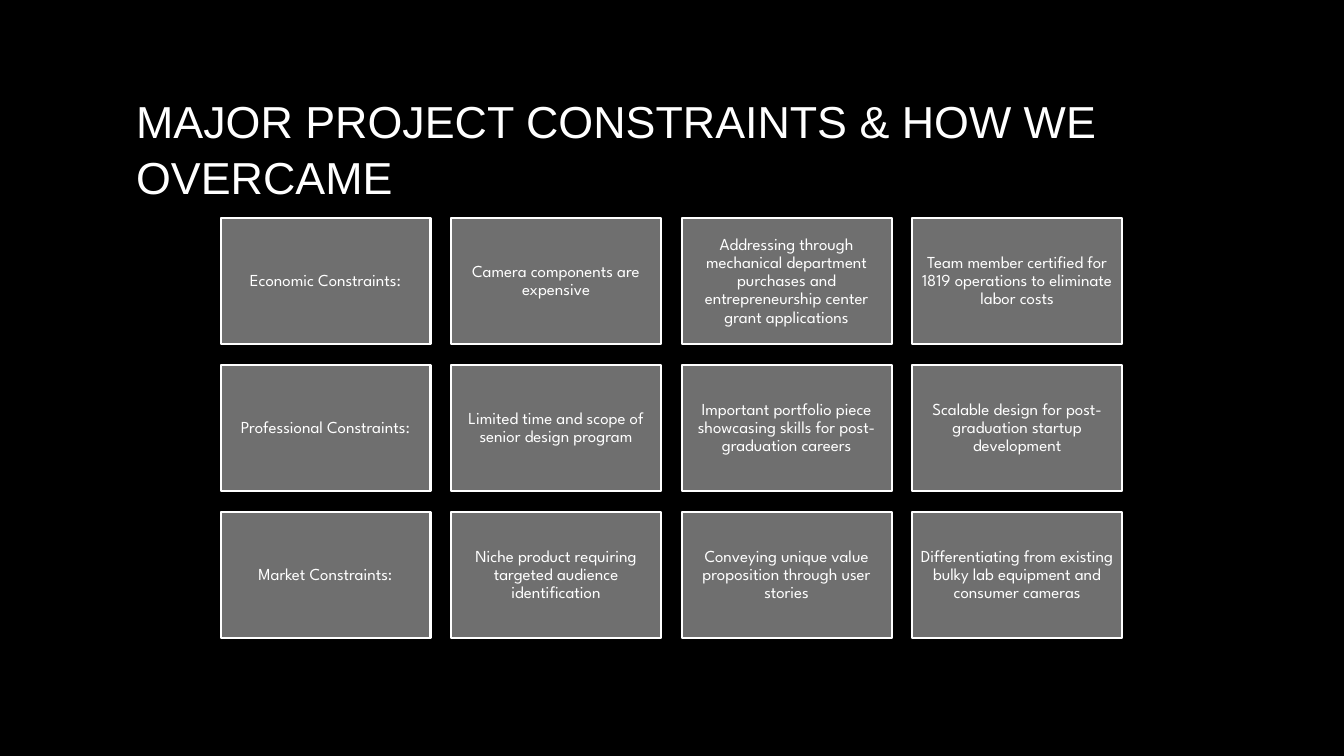
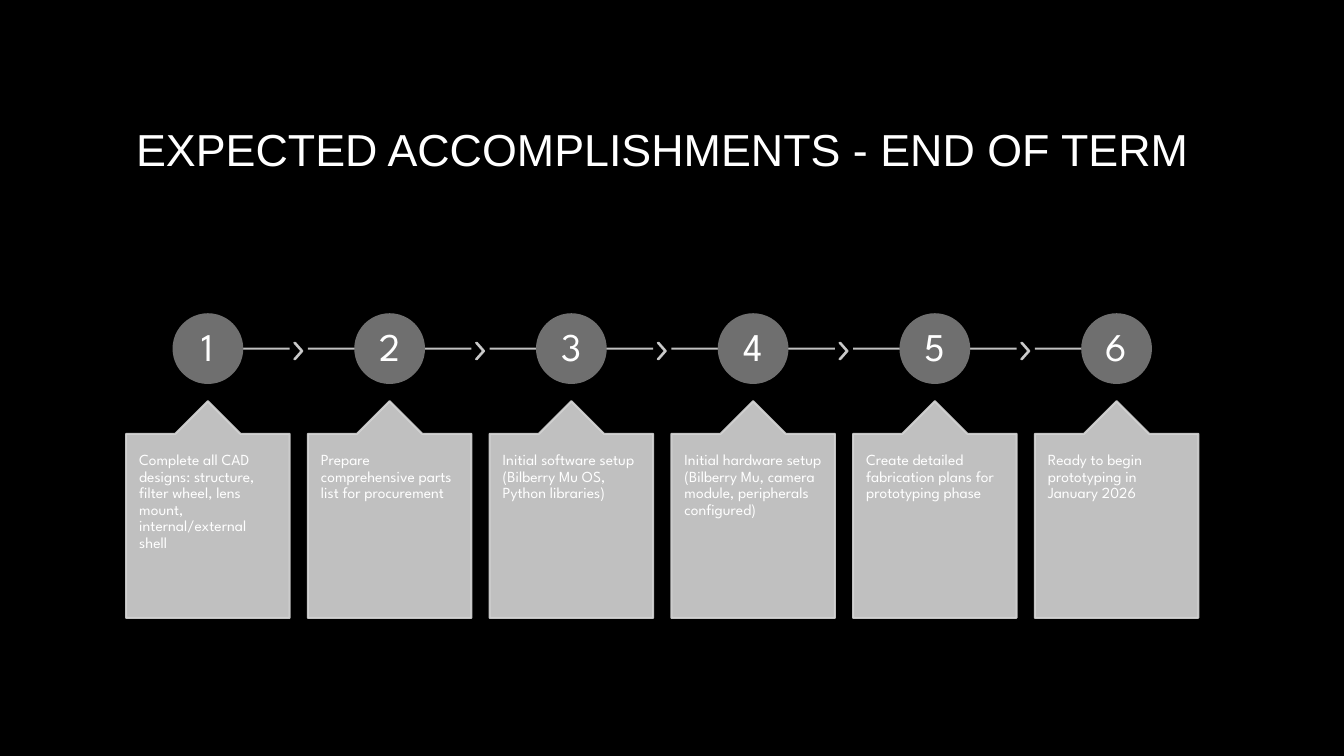
"""Build two dark slides: a grid of constraints and a six-step timeline."""
from dataclasses import dataclass

from pptx import Presentation
from pptx import util as u
from pptx.dml.color import RGBColor
from pptx.enum import shapes, text
from pptx.oxml import ns
from lxml import etree

BLACK, WHITE, GRAY, SILVER = "000000", "FFFFFF", "6F6F6F", "D5D5D5"
TITLE_FONT, BODY_FONT = "Arial", "League Spartan"
LINE_WIDTH = u.Pt(1.5)

CARD_LEFT, CARD_TOP = 5.56, 5.5
CARD_WIDTH, CARD_HEIGHT = 5.29, 3.18
CARD_PITCH_X, CARD_PITCH_Y = 5.81, 3.7

STEP_LEFT, STEP_PITCH, STEP_WIDTH = 3.18, 4.58, 4.12
CIRCLE_TOP, CIRCLE_SIZE = 7.92, 1.73
CALLOUT_TOP, CALLOUT_HEIGHT = 10.11, 5.46
CHEVRON_OFFSET, CHEVRON_TOP = 4.24, 8.64


@dataclass(frozen=True)
class Box:
    """A place on the slide, in centimetres."""
    left: float
    top: float
    width: float
    height: float

    def lengths(self) -> tuple:
        """Return the four values as lengths."""
        return tuple(u.Cm(value) for value in (self.left, self.top, self.width, self.height))


@dataclass(frozen=True)
class Constraint:
    """A heading and the three cards beside it."""
    heading: str
    problem: str
    response: str
    outcome: str


CONSTRAINTS = (
    Constraint("Economic Constraints:", "Camera components are expensive",
               "Addressing through mechanical department purchases and "
               "entrepreneurship center grant applications",
               "Team member certified for 1819 operations to eliminate labor costs"),
    Constraint("Professional Constraints:",
               "Limited time and scope of senior design program",
               "Important portfolio piece showcasing skills for post-graduation careers",
               "Scalable design for post-graduation startup development"),
    Constraint("Market Constraints:",
               "Niche product requiring targeted audience identification",
               "Conveying unique value proposition through user stories",
               "Differentiating from existing bulky lab equipment and consumer cameras"),
)
STEPS = (
    "Complete all CAD designs: structure, filter wheel, lens mount, internal/external shell",
    "Prepare comprehensive parts list for procurement",
    "Initial software setup (Bilberry Mu OS, Python libraries)",
    "Initial hardware setup (Bilberry Mu, camera module, peripherals configured)",
    "Create detailed fabrication plans for prototyping phase",
    "Ready to begin prototyping in January 2026",
)


def color(value: str) -> RGBColor:
    """Turn a hex string into a colour."""
    return RGBColor.from_string(value)


def set_opacity(shape, percent: int) -> None:
    """Apply one opacity to the fill and line of a shape."""
    for node in shape._element.spPr.iter(ns.qn("a:srgbClr")):
        etree.SubElement(node, ns.qn("a:alpha"), val=str(percent * 1000))


def write(shape, content: str, *, size: float, font: str = BODY_FONT,
          align=text.PP_ALIGN.CENTER, anchor=text.MSO_ANCHOR.MIDDLE,
          spacing: float = 0.9, inset_x: float = 0.13, inset_y: float = 0.13,
          inset_bottom: float | None = None) -> None:
    """Put formatted white text into a shape."""
    frame = shape.text_frame
    frame.word_wrap = True
    frame.auto_size = text.MSO_AUTO_SIZE.NONE
    frame.vertical_anchor = anchor
    frame.margin_left = frame.margin_right = u.Cm(inset_x)
    frame.margin_top = u.Cm(inset_y)
    frame.margin_bottom = u.Cm(inset_y if inset_bottom is None else inset_bottom)
    paragraph = frame.paragraphs[0]
    paragraph.alignment = align
    paragraph.line_spacing = spacing
    run = paragraph.add_run()
    run.text = content
    run.font.name = font
    run.font.size = u.Pt(size)
    run.font.color.rgb = color(WHITE)


def add_shape(slide, kind, box: Box, fill: str, line: str,
              adjustments: tuple[float, ...] = (), opacity: int = 100):
    """Add a flat preset shape."""
    shape = slide.shapes.add_shape(kind, *box.lengths())
    shape.shadow.inherit = False
    shape.fill.solid()
    shape.fill.fore_color.rgb = color(fill)
    shape.line.color.rgb = color(line)
    shape.line.width = LINE_WIDTH
    for index, value in enumerate(adjustments):
        shape.adjustments[index] = value
    if opacity < 100:
        set_opacity(shape, opacity)
    return shape


def add_line(slide, start: float, end: float, y: float) -> None:
    """Add a horizontal timeline segment."""
    line = slide.shapes.add_connector(
        shapes.MSO_CONNECTOR.STRAIGHT, u.Cm(start), u.Cm(y), u.Cm(end), u.Cm(y))
    line.line.color.rgb = color(SILVER)
    line.line.width = LINE_WIDTH
    set_opacity(line, 90)
    etree.SubElement(line._element.spPr, ns.qn("a:effectLst"))


def add_titled_slide(presentation, title: str):
    """Add a title-only slide with the shared title style."""
    slide = presentation.slides.add_slide(presentation.slide_layouts[5])
    placeholder = slide.shapes.title
    placeholder.left, placeholder.top, placeholder.width, placeholder.height = Box(
        3.18, 1.7, 27.51, 5.29).lengths()
    write(placeholder, title, size=32, font=TITLE_FONT, align=text.PP_ALIGN.LEFT,
          spacing=1.05, inset_x=0.25, inset_bottom=1.4)
    return slide


def add_constraints(slide) -> None:
    """Draw the grid of constraint cards."""
    for row, constraint in enumerate(CONSTRAINTS):
        cells = (constraint.heading, constraint.problem,
                 constraint.response, constraint.outcome)
        for column, content in enumerate(cells):
            box = Box(CARD_LEFT + column * CARD_PITCH_X, CARD_TOP + row * CARD_PITCH_Y,
                      CARD_WIDTH, CARD_HEIGHT)
            card = add_shape(slide, shapes.MSO_SHAPE.RECTANGLE, box, GRAY, WHITE)
            write(card, content, size=12)


def add_step(slide, index: int, content: str) -> None:
    """Draw one numbered step with its line, chevron and callout."""
    left = STEP_LEFT + index * STEP_PITCH
    center, right = left + STEP_WIDTH / 2, left + STEP_WIDTH
    is_first, is_last = index == 0, index == len(STEPS) - 1
    add_line(slide, center if is_first else left, center if is_last else right,
             CIRCLE_TOP + CIRCLE_SIZE / 2)
    if not is_last:
        add_shape(slide, shapes.MSO_SHAPE.CHEVRON,
                  Box(left + CHEVRON_OFFSET, CHEVRON_TOP, 0.2, 0.41),
                  SILVER, SILVER, (0.9,), opacity=90)
    circle = add_shape(slide, shapes.MSO_SHAPE.OVAL,
                       Box(center - CIRCLE_SIZE / 2, CIRCLE_TOP, CIRCLE_SIZE, CIRCLE_SIZE),
                       GRAY, GRAY)
    write(circle, str(index + 1), size=28, inset_x=0.08, inset_y=0.08)
    callout = add_shape(slide, shapes.MSO_SHAPE.UP_ARROW_CALLOUT,
                        Box(left, CALLOUT_TOP, STEP_WIDTH, CALLOUT_HEIGHT),
                        SILVER, SILVER, (0.4, 0.2, 0.2, 0.85), opacity=90)
    write(callout, content, size=11, align=text.PP_ALIGN.LEFT,
          anchor=text.MSO_ANCHOR.TOP, inset_x=0.33, inset_y=0.46)


def main() -> None:
    """Build and save the presentation."""
    presentation = Presentation()
    presentation.slide_width, presentation.slide_height = u.Cm(33.87), u.Cm(19.05)
    background = presentation.slide_master.background.fill
    background.solid()
    background.fore_color.rgb = color(BLACK)

    add_constraints(add_titled_slide(
        presentation, "MAJOR PROJECT CONSTRAINTS & HOW WE OVERCAME"))
    timeline = add_titled_slide(presentation, "EXPECTED ACCOMPLISHMENTS - END OF TERM")
    for index, content in enumerate(STEPS):
        add_step(timeline, index, content)
    presentation.save("out.pptx")


if __name__ == "__main__":
    main()
